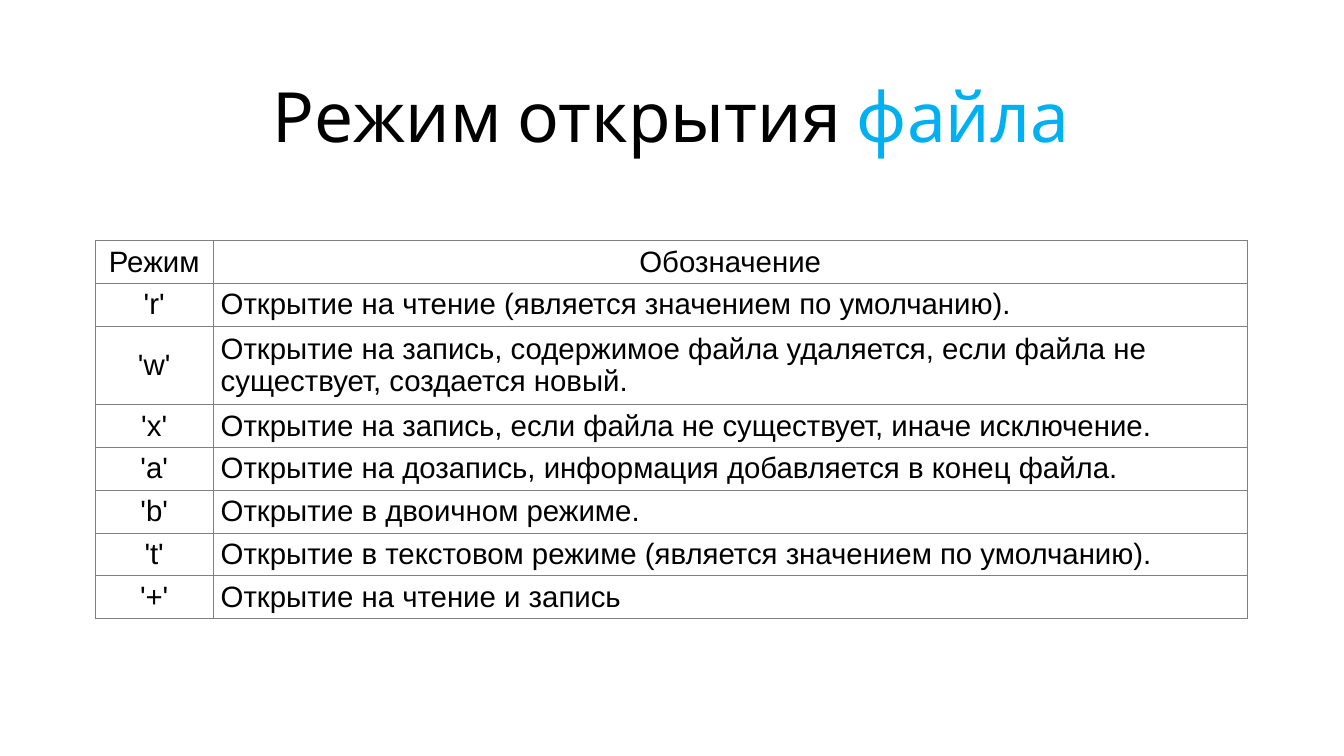
import pptx
import pptx.dml.color
import pptx.enum.text
import pptx.oxml
import pptx.oxml.ns
import pptx.util

PX = 9144
MID = pptx.enum.text.MSO_ANCHOR.MIDDLE
LEFT = pptx.enum.text.PP_ALIGN.LEFT
CENTER = pptx.enum.text.PP_ALIGN.CENTER
HEAD = ("Режим", "Обозначение")
MODES = [
    ("'r'", "Открытие на чтение (является значением по умолчанию)."),
    ("'w'", "Открытие на запись, содержимое файла удаляется, если файла не "
            "существует, создается новый."),
    ("'x'", "Открытие на запись, если файла не существует, иначе исключение."),
    ("'a'", "Открытие на дозапись, информация добавляется в конец файла."),
    ("'b'", "Открытие в двоичном режиме."),
    ("'t'", "Открытие в текстовом режиме (является значением по умолчанию)."),
    ("'+'", "Открытие на чтение и запись"),
]


def color(code):
    """Turn a hex string into a colour."""
    return pptx.dml.color.RGBColor.from_string(code)


class Deck:
    """Hold the style and the current slide."""

    ink, blue, grey = "000000", "00B0F0", "808080"
    title_font, body_font = "Cabin", "Arial"
    title_size, body_size = 66, 28

    def __init__(self, wide, high):
        """Start a deck with one blank slide."""
        self.file = pptx.Presentation()
        self.file.slide_width = wide * PX
        self.file.slide_height = high * PX
        self.slide = self.file.slides.add_slide(self.file.slide_layouts[6])

    def run(self, para, text, font, size, ink):
        """Add one styled run to a paragraph."""
        part = para.add_run()
        part.text = text
        part.font.name = font
        part.font.size = pptx.util.Pt(size)
        part.font.color.rgb = color(ink)

    def title(self, box, parts):
        """Add a centred title made of coloured parts."""
        frame = self.slide.shapes.add_textbox(*(n * PX for n in box)).text_frame
        frame.word_wrap = True
        frame.vertical_anchor = MID
        frame.margin_left = frame.margin_right = 4 * PX
        frame.margin_top = frame.margin_bottom = 4 * PX
        para = frame.paragraphs[0]
        para.alignment = CENTER
        for text, ink in parts:
            self.run(para, text, self.title_font, self.title_size, ink)

    def border(self, cell):
        """Draw a thin line on all four sides of a cell."""
        props = cell._tc.get_or_add_tcPr()
        space = pptx.oxml.ns.nsdecls("a")
        for rank, side in enumerate(("lnL", "lnR", "lnT", "lnB")):
            props.insert(rank, pptx.oxml.parse_xml(
                f'<a:{side} {space} w="{pptx.util.Pt(1)}"><a:solidFill>'
                f'<a:srgbClr val="{self.grey}"/></a:solidFill></a:{side}>'))

    def cell(self, cell, text, align):
        """Fill one table cell."""
        cell.fill.background()
        cell.vertical_anchor = MID
        cell.margin_left = cell.margin_right = 10 * PX
        cell.margin_top = cell.margin_bottom = 5 * PX
        para = cell.text_frame.paragraphs[0]
        para.alignment = align
        self.run(para, text, self.body_font, self.body_size, self.ink)
        self.border(cell)

    def table(self, left, top, cols, head, row, data):
        """Add a bordered table whose first row is centred."""
        high = head + row * (len(data) - 1)
        grid = self.slide.shapes.add_table(
            len(data), len(cols), left * PX, top * PX, sum(cols) * PX, high * PX).table
        grid.first_row = grid.horz_banding = False
        for col, wide in zip(grid.columns, cols):
            col.width = wide * PX
        for r, texts in enumerate(data):
            grid.rows[r].height = (row if r else head) * PX
            for c, text in enumerate(texts):
                self.cell(grid.cell(r, c), text, LEFT if r and c else CENTER)


def main():
    """Build and save the slide."""
    deck = Deck(1778, 1000)
    deck.title((126, 26, 1524, 251),
               [("Режим открытия ", deck.ink), ("файла", deck.blue)])
    deck.table(126, 318, (156, 1368), 56, 53, [HEAD, *MODES])
    deck.file.save("out.pptx")


if __name__ == "__main__":
    main()
